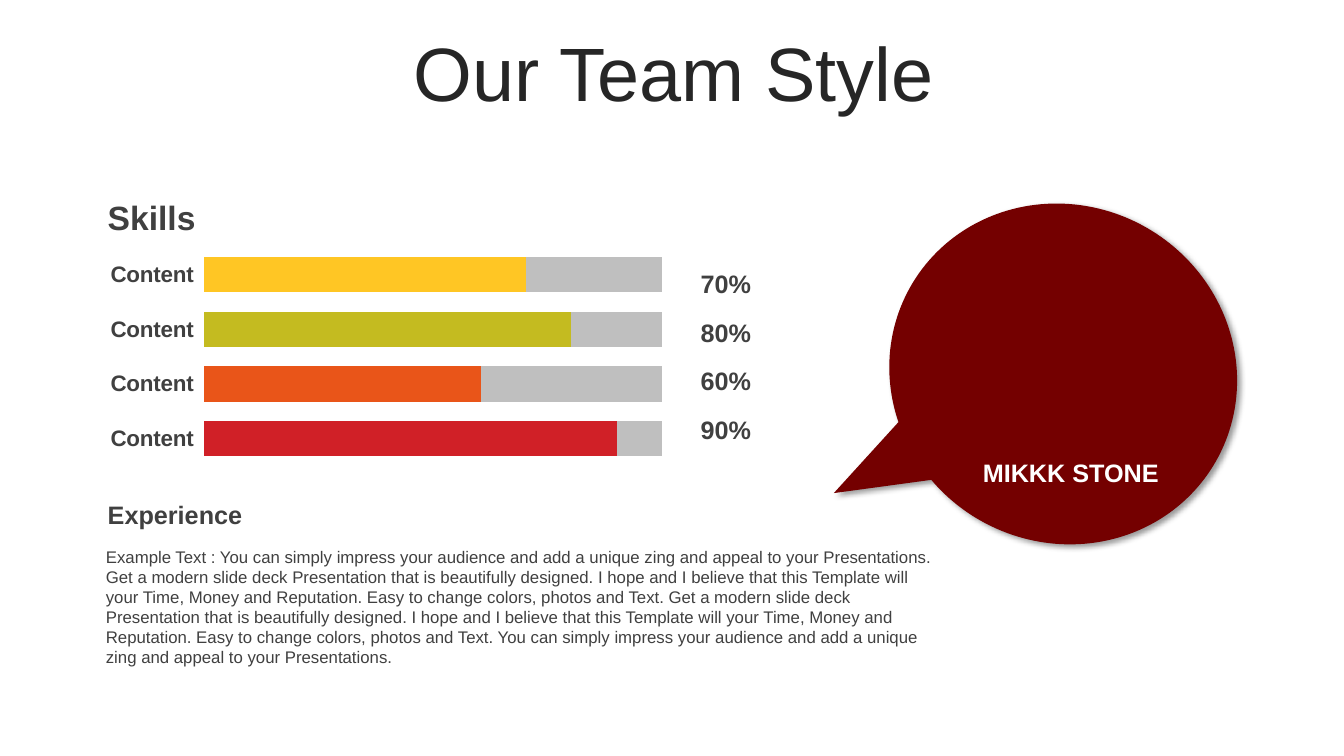
import pptx
import pptx.util
import pptx.chart.data
import pptx.dml.color
import pptx.enum.chart
import pptx.enum.shapes
import pptx.enum.text
from lxml import etree

Pt = pptx.util.Pt
ALIGN = pptx.enum.text.PP_ALIGN
FONT = "Arial"
WIDE, HIGH = pptx.util.Inches(13.33), pptx.util.Inches(7.5)
COL, ROW = WIDE / 100, HIGH / 100

COLORS = {
    "title": "262626", "text": "404040", "white": "FFFFFF", "bubble": "740000",
    "rest": "BFBFBF", "yellow": "FFC624", "lime": "C4BB20",
    "orange": "E95519", "red": "D02027",
}
# Top to bottom: label, shown share, bar colour, filled part, remaining part
SKILLS = [
    ("Content", "70%", "yellow", 78, 33),
    ("Content", "80%", "lime", 89, 22),
    ("Content", "60%", "orange", 67, 44),
    ("Content", "90%", "red", 100, 11),
]
OPENER = "You can simply impress your audience and add a unique zing and appeal to your Presentations."
PITCH = ("Get a modern slide deck Presentation that is beautifully designed. "
         "I hope and I believe that this Template will your Time, Money and Reputation. "
         "Easy to change colors, photos and Text.")
STORY = f"Example Text : {OPENER} {PITCH} {PITCH} {OPENER}"


def rgb(name):
    return pptx.dml.color.RGBColor.from_string(COLORS[name])


def area(box, x=0, y=0, w=None, h=None):
    """Turn columns and rows inside a box into slide lengths."""
    left, top, wide, high = box
    w, h = w or wide, h or high
    return [round(n) for n in ((left + x) * COL, (top + y) * ROW, w * COL, h * ROW)]


def style(font, size, color, bold=False):
    font.name, font.size, font.bold = FONT, Pt(size), bold
    font.color.rgb = rgb(color)


def write(slide, spot, text, size, color="text", bold=True, align=ALIGN.LEFT):
    frame = slide.shapes.add_textbox(*spot).text_frame
    frame.word_wrap = True
    para = frame.paragraphs[0]
    para.alignment = align
    run = para.add_run()
    run.text = text
    style(run.font, size, color, bold)
    return frame


def add_title(slide, box):
    title = slide.shapes.title
    title.left, title.top, title.width, title.height = area(box)
    frame = title.text_frame
    frame.vertical_anchor = pptx.enum.text.MSO_ANCHOR.MIDDLE
    para = frame.paragraphs[0]
    para.alignment, para.line_spacing = ALIGN.CENTER, 0.9
    run = para.add_run()
    run.text = "Our Team Style"
    style(run.font, 54, "title")


def add_bars(slide, spot):
    rows = SKILLS[::-1]
    data = pptx.chart.data.CategoryChartData()
    data.categories = [row[0] for row in rows]
    data.add_series("Series 1", [row[3] for row in rows])
    data.add_series("Series 2", [row[4] for row in rows])
    kind = pptx.enum.chart.XL_CHART_TYPE.BAR_STACKED
    chart = slide.shapes.add_chart(kind, *spot, data).chart
    chart.has_legend = chart.has_title = False
    style(chart.font, 18, "text")

    axis = chart.category_axis
    axis.format.line.fill.background()
    style(axis.tick_labels.font, 16, "text", True)
    scale = chart.value_axis
    scale.minimum_scale, scale.maximum_scale = 0, 111
    scale.has_major_gridlines = scale.visible = False

    plot = chart.plots[0]
    plot.gap_width, plot.overlap, plot.vary_by_categories = 54, 100, False
    for series, color in zip(plot.series, ("yellow", "rest")):
        series.format.fill.solid()
        series.format.fill.fore_color.rgb = rgb(color)
    for i, row in enumerate(rows):
        fill = plot.series[0].points[i].format.fill
        fill.solid()
        fill.fore_color.rgb = rgb(row[2])
    set_plot(chart, x=0.158, y=0.02, w=0.684, h=0.96)


def set_plot(chart, **shares):
    """Fix the inner plot area as shares of the chart."""
    field = chart._chartSpace.chart.plotArea
    ns = field.nsmap["c"]
    for old in field.findall(f"{{{ns}}}layout"):
        field.remove(old)
    layout = etree.Element(f"{{{ns}}}layout")
    manual = etree.SubElement(layout, f"{{{ns}}}manualLayout")
    marks = {"layoutTarget": "inner", "xMode": "edge", "yMode": "edge", **shares}
    for tag, value in marks.items():
        etree.SubElement(manual, f"{{{ns}}}{tag}", val=str(value))
    field.insert(0, layout)


def add_skills(slide, box):
    write(slide, area(box, w=24.75, h=6.67), "Skills", 24)
    add_bars(slide, area(box, y=6.8, w=49.9, h=30.13))
    for i, row in enumerate(SKILLS):
        spot = area(box, 42.9, 9.47 + 6.45 * i, 7.65, 5.33)
        write(slide, spot, row[1], 18, align=ALIGN.CENTER)


def add_story(slide, box):
    write(slide, area(box, y=6.27, h=14.8), STORY, 12, bold=False).margin_left = pptx.util.Inches(0.08)
    write(slide, area(box, w=24.75, h=5.33), "Experience", 18)


def add_bubble(slide, box):
    kind = pptx.enum.shapes.MSO_SHAPE.OVAL_CALLOUT
    bubble = slide.shapes.add_shape(kind, *area(box))
    bubble.rotation = 31.4
    bubble.adjustments[0], bubble.adjustments[1] = -0.38, 0.657
    bubble.fill.solid()
    bubble.fill.fore_color.rgb = rgb("bubble")
    bubble.line.fill.background()
    bubble.shadow.inherit = False
    props = bubble._element.spPr
    ns = props.nsmap["a"]
    effects = props.find(f"{{{ns}}}effectLst")
    shade = etree.SubElement(
        effects, f"{{{ns}}}outerShdw", blurRad=str(Pt(4)), dist=str(Pt(3)),
        dir=str(45 * 60000), algn="tl", rotWithShape="0")
    tint = etree.SubElement(shade, f"{{{ns}}}srgbClr", val="000000")
    etree.SubElement(tint, f"{{{ns}}}alpha", val="40000")
    write(slide, area(box, 5.48, 32.67, 16.35, 5.33), "MIKKK STONE", 18,
          "white", align=ALIGN.CENTER)


def main():
    deck = pptx.Presentation()
    deck.slide_width, deck.slide_height = WIDE, HIGH
    slide = deck.slides.add_slide(deck.slide_layouts[5])
    add_bubble(slide, (66.02, 27.2, 26.18, 44.53))
    add_title(slide, (2.63, 4.93, 94.98, 10.53))
    add_skills(slide, (7.28, 25.33, 50.6, 36.93))
    add_story(slide, (7.28, 65.33, 62.94, 21.07))
    deck.save("out.pptx")


if __name__ == "__main__":
    main()
